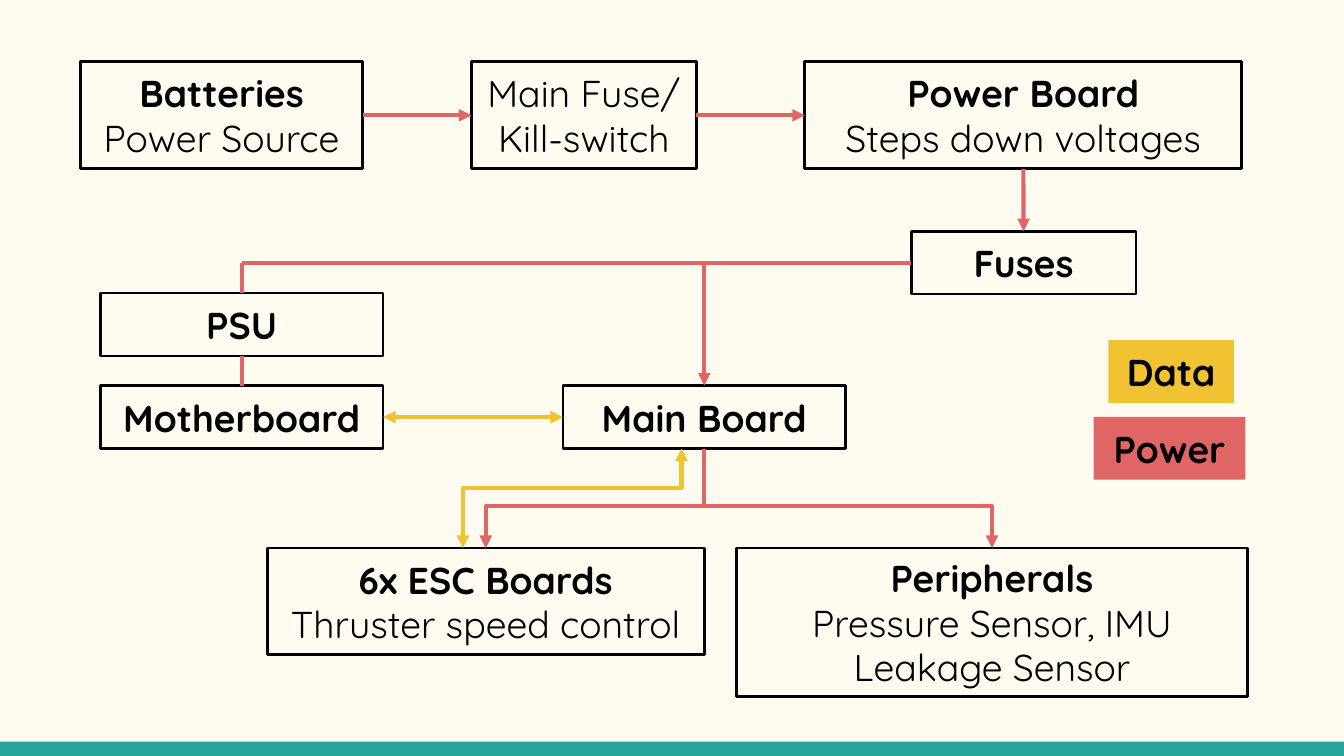
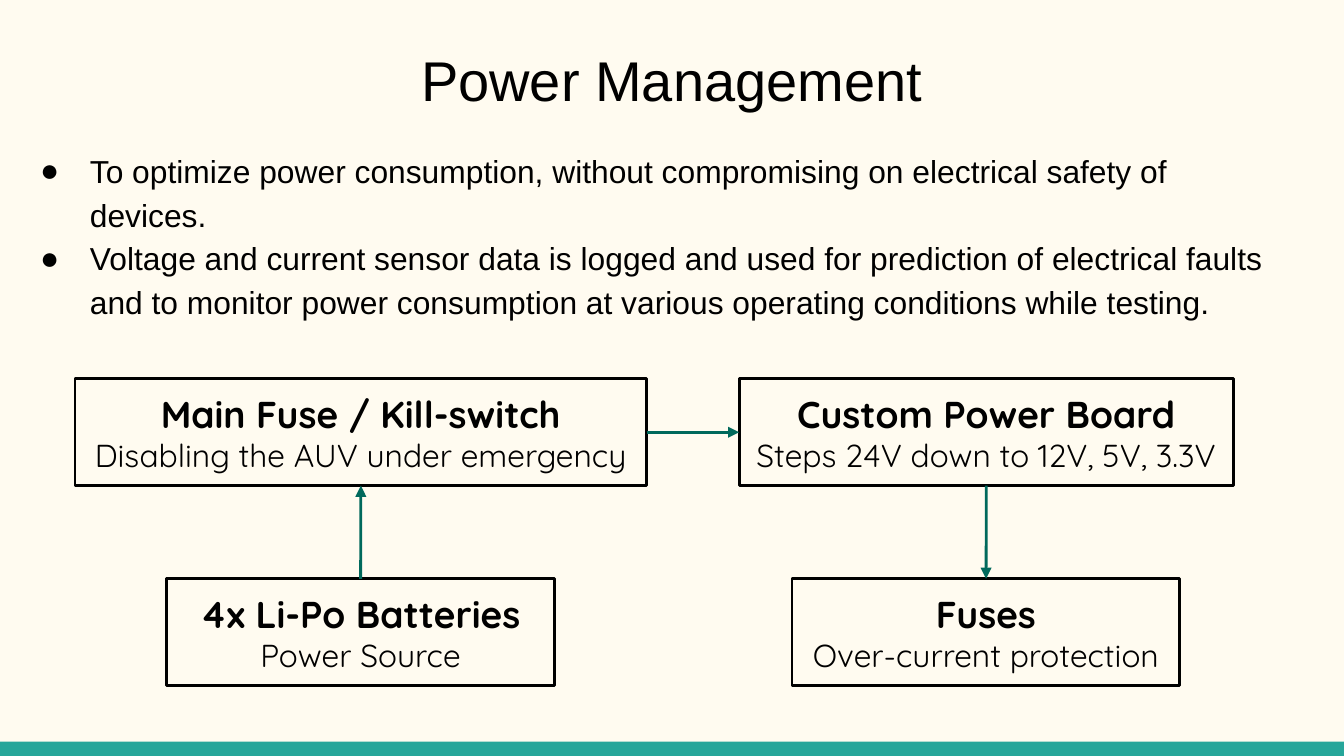
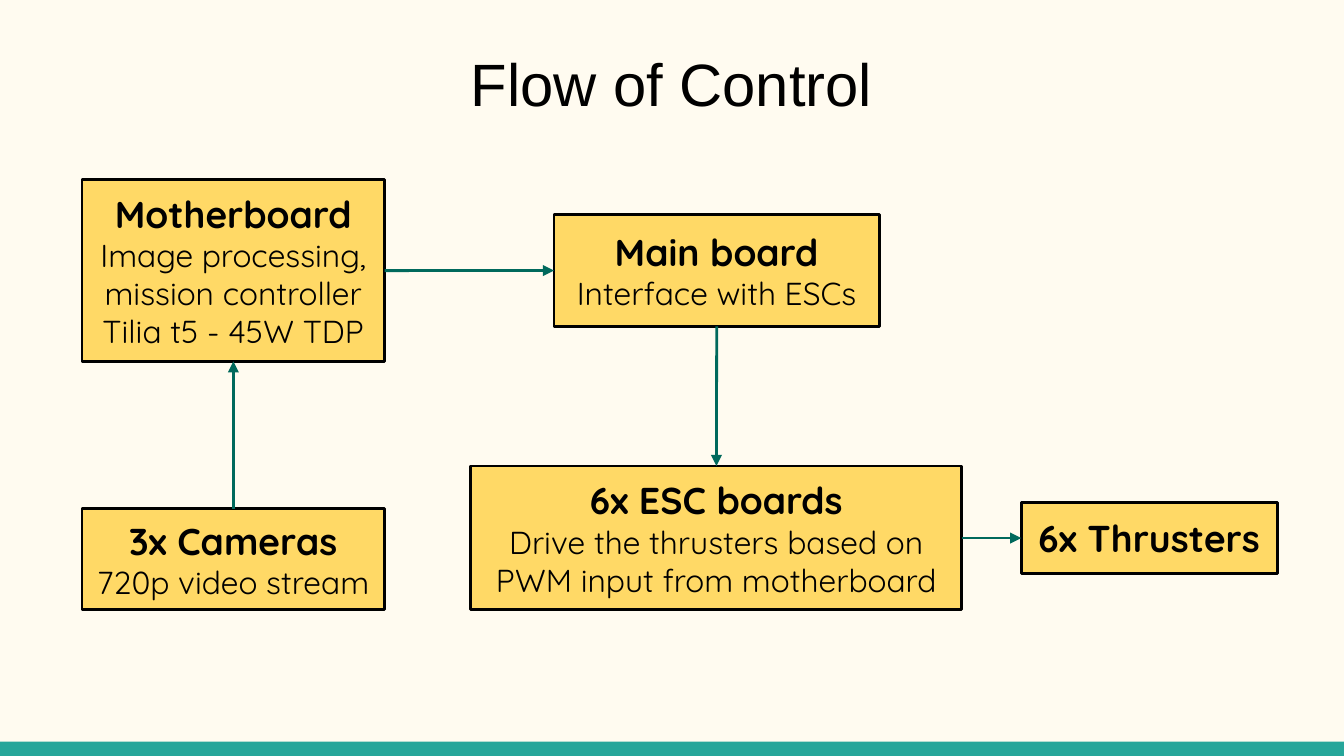
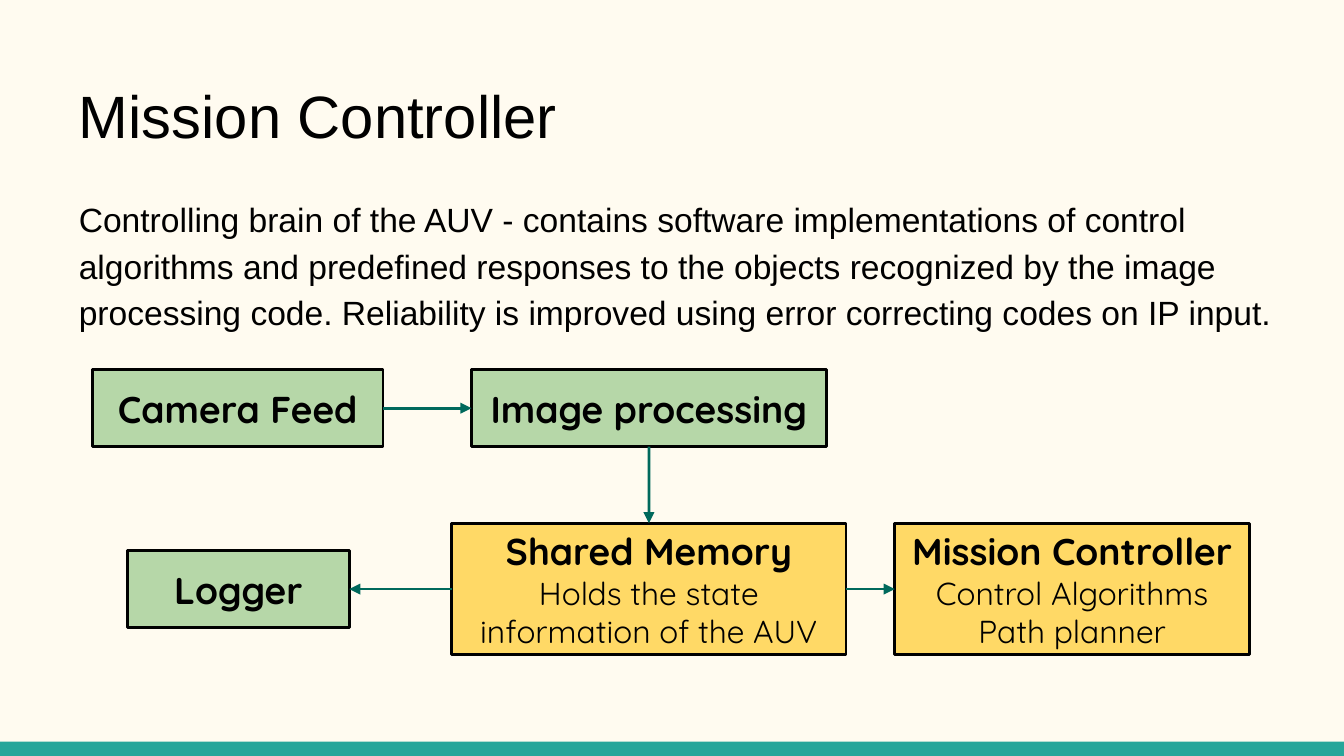
import dataclasses

import pptx
import pptx.dml.color
import pptx.enum.shapes
import pptx.enum.text
import pptx.oxml.ns
import pptx.util
from lxml import etree

Cm = pptx.util.Cm
Pt = pptx.util.Pt
qn = pptx.oxml.ns.qn
ALIGN = pptx.enum.text.PP_ALIGN
SHAPE = pptx.enum.shapes.MSO_SHAPE
CONNECTOR = pptx.enum.shapes.MSO_CONNECTOR
SITES = {"top": 0, "left": 1, "bottom": 2, "right": 3}


@dataclasses.dataclass(frozen=True)
class Theme:
    background: str = "FFFBF0"
    band: str = "26A69A"
    ink: str = "000000"
    power: str = "E06666"
    data: str = "F1C232"
    flow: str = "00695C"
    amber: str = "FFD966"
    green: str = "B6D7A8"
    text_font: str = "Arial"
    node_font: str = "Quicksand"
    title: int = 32
    small_title: int = 30
    body: int = 18
    small_body: int = 17
    node: int = 20
    detail: int = 17
    outline: float = 1.5
    wire: float = 2.25
    inset: float = 0.25


@dataclasses.dataclass(frozen=True)
class Box:
    left: float
    top: float
    width: float
    height: float

    def inner(self, left, top, width, height):
        return Box(self.left + left, self.top + top, width, height)

    def lengths(self):
        return [Cm(value) for value in dataclasses.astuple(self)]


THEME = Theme()
PAGE = Box(0, 0, 25.4, 14.29)


def rgb(code):
    return pptx.dml.color.RGBColor.from_string(code)


def style_font(paragraph, name, size, bold=False):
    font = paragraph.font
    font.name = name
    font.size = Pt(size)
    font.bold = bold
    font.color.rgb = rgb(THEME.ink)


def prepare_frame(frame, anchor):
    frame.word_wrap = True
    frame.vertical_anchor = anchor
    frame.margin_left = frame.margin_right = Cm(THEME.inset)
    frame.margin_top = frame.margin_bottom = Cm(THEME.inset)


def add_panel(slide, box, fill=None, outline=None):
    panel = slide.shapes.add_shape(SHAPE.RECTANGLE, *box.lengths())
    panel.shadow.inherit = False
    if fill:
        panel.fill.solid()
        panel.fill.fore_color.rgb = rgb(fill)
    else:
        panel.fill.background()
    if outline:
        panel.line.color.rgb = rgb(outline)
        panel.line.width = Pt(THEME.outline)
    else:
        panel.line.fill.background()
    return panel


def add_node(slide, box, name, *details, fill=None, outline=THEME.ink,
             detail_size=THEME.detail, bold=True):
    node = add_panel(slide, box, fill, outline)
    frame = node.text_frame
    prepare_frame(frame, pptx.enum.text.MSO_ANCHOR.MIDDLE)
    for index, line in enumerate((name, *details)):
        paragraph = frame.add_paragraph() if index else frame.paragraphs[0]
        paragraph.text = line
        paragraph.alignment = ALIGN.CENTER
        style_font(paragraph, THEME.node_font,
                   detail_size if index else THEME.node, bold and not index)
    return node


def style_wire(wire, color, width, head, tail):
    wire.line.color.rgb = rgb(color)
    wire.line.width = Pt(width)
    properties = wire._element.spPr
    outline = properties.find(qn("a:ln"))
    for tag, present in (("a:headEnd", head), ("a:tailEnd", tail)):
        if present:
            etree.SubElement(outline, qn(tag), type="triangle")
    etree.SubElement(properties, qn("a:effectLst"))


def add_wire(slide, start, end, color, width=THEME.wire, head=False, tail=True):
    wire = slide.shapes.add_connector(CONNECTOR.STRAIGHT, *start, *end)
    style_wire(wire, color, width, head, tail)
    return wire


def site(node, side, shift=0):
    x, y = {
        "top": (node.width // 2, 0),
        "left": (0, node.height // 2),
        "bottom": (node.width // 2, node.height),
        "right": (node.width, node.height // 2),
    }[side]
    return node.left + x + Cm(shift), node.top + y


def link(slide, source, source_side, target, target_side, color=THEME.flow,
         width=THEME.outline, head=False, tail=True):
    wire = add_wire(slide, site(source, source_side), site(target, target_side),
                    color, width, head, tail)
    wire.begin_connect(source, SITES[source_side])
    wire.end_connect(target, SITES[target_side])


def add_branch(slide, start, end, color, bend, head=False):
    (start_x, start_y), (end_x, end_y) = start, end
    middle_x, middle_y = (start_x + end_x) // 2, (start_y + end_y) // 2
    half_run, half_drop = abs(end_x - start_x) // 2, (end_y - start_y) // 2
    rightward = end_x > start_x
    reach = half_drop if rightward else -half_drop
    branch = slide.shapes.add_connector(
        CONNECTOR.ELBOW, middle_x + reach, middle_y - half_run,
        middle_x - reach, middle_y + half_run)
    properties = branch._element.spPr
    properties.find(qn("a:xfrm")).set("rot", "16200000" if rightward else "5400000")
    guides = properties.find(qn("a:prstGeom")).get_or_add_avLst()
    etree.SubElement(guides, qn("a:gd"), name="adj1", fmla=f"val {round(bend * 100000)}")
    style_wire(branch, color, THEME.wire, head, True)


def add_text(slide, box, lines, size, alignment=ALIGN.LEFT, spacing=1.0,
             space_after=0, bulleted=False):
    frame = slide.shapes.add_textbox(*box.lengths()).text_frame
    prepare_frame(frame, pptx.enum.text.MSO_ANCHOR.TOP)
    for index, line in enumerate(lines):
        paragraph = frame.add_paragraph() if index else frame.paragraphs[0]
        paragraph.text = line
        paragraph.alignment = alignment
        paragraph.line_spacing = spacing
        paragraph.space_after = Pt(space_after)
        style_font(paragraph, THEME.text_font, size)
        if bulleted:
            add_bullet(paragraph, size)


def add_bullet(paragraph, size):
    properties = paragraph._p.get_or_add_pPr()
    properties.set("marL", str(Cm(1.27)))
    properties.set("indent", str(Cm(-0.94)))
    defaults = properties.find(qn("a:defRPr"))
    for tag, attributes in (
        ("a:buSzPts", {"val": str(size * 100)}),
        ("a:buFont", {"typeface": THEME.text_font}),
        ("a:buChar", {"char": "●"}),
    ):
        defaults.addprevious(etree.Element(qn(tag), attributes))


def add_title(slide, box, title, size=THEME.title, alignment=ALIGN.CENTER):
    add_text(slide, box, [title], size, alignment)


def new_slide(deck):
    slide = deck.slides.add_slide(deck.slide_layouts[6])
    slide.background.fill.solid()
    slide.background.fill.fore_color.rgb = rgb(THEME.background)
    add_panel(slide, PAGE.inner(0, 14.02, PAGE.width, 0.27), THEME.band)
    return slide


def draw_wiring(slide, area):
    def node(left, top, width, height, *lines, **options):
        return add_node(slide, area.inner(left, top, width, height), *lines,
                        detail_size=THEME.node, **options)

    single, double = 1.19, 2.02
    batteries = node(0, 0, 5.34, double, "Batteries", "Power Source")
    main_fuse = node(7.39, 0, 4.25, double, "Main Fuse/", "Kill-switch", bold=False)
    power_board = node(13.69, 0, 8.26, double, "Power Board", "Steps down voltages")
    fuses = node(15.7, 3.2, 4.25, single, "Fuses")
    psu = node(0.38, 4.37, 5.34, single, "PSU")
    motherboard = node(0.38, 6.12, 5.34, single, "Motherboard")
    main_board = node(9.12, 6.12, 5.34, single, "Main Board")
    esc_boards = node(3.53, 9.19, 8.26, double, "6x ESC Boards", "Thruster speed control")
    peripherals = node(12.4, 9.19, 9.66, 2.8, "Peripherals",
                       "Pressure Sensor, IMU", "Leakage Sensor")

    power = {"color": THEME.power, "width": THEME.wire}
    link(slide, batteries, "right", main_fuse, "left", **power)
    link(slide, main_fuse, "right", power_board, "left", **power)
    link(slide, power_board, "bottom", fuses, "top", **power)
    link(slide, psu, "bottom", motherboard, "top", tail=False, **power)

    bus_start = site(fuses, "left")
    psu_top = site(psu, "top")
    main_board_top = site(main_board, "top")
    bus_end = psu_top[0], bus_start[1]
    add_wire(slide, bus_start, bus_end, THEME.power, tail=False)
    add_wire(slide, bus_end, psu_top, THEME.power, tail=False)
    add_wire(slide, (main_board_top[0], bus_start[1]), main_board_top, THEME.power)

    for load in (esc_boards, peripherals):
        add_branch(slide, site(main_board, "bottom"), site(load, "top"),
                   THEME.power, 0.58)
    link(slide, motherboard, "right", main_board, "left",
         THEME.data, THEME.wire, head=True)
    add_branch(slide, site(main_board, "bottom", -0.43), site(esc_boards, "top", -0.43),
               THEME.data, 0.4, head=True)

    node(19.43, 5.26, 2.37, single, "Data", fill=THEME.data, outline=None)
    node(19.15, 6.71, 2.87, single, "Power", fill=THEME.power, outline=None)


def draw_power_chain(slide, area):
    def node(left, top, width, *lines):
        return add_node(slide, area.inner(left, top, width, 2.02), *lines)

    kill_switch = node(0, 0, 10.8, "Main Fuse / Kill-switch",
                       "Disabling the AUV under emergency")
    power_board = node(12.55, 0, 9.34, "Custom Power Board",
                       "Steps 24V down to 12V, 5V, 3.3V")
    batteries = node(1.73, 3.78, 7.33, "4x Li-Po Batteries", "Power Source")
    fuses = node(13.55, 3.78, 7.33, "Fuses", "Over-current protection")
    link(slide, batteries, "top", kill_switch, "bottom")
    link(slide, kill_switch, "right", power_board, "left")
    link(slide, power_board, "bottom", fuses, "top")


def draw_control_flow(slide, area):
    def node(left, top, width, height, *lines):
        return add_node(slide, area.inner(left, top, width, height), *lines,
                        fill=THEME.amber)

    cameras = node(0, 6.22, 5.72, 1.91, "3x Cameras", "720p video stream")
    motherboard = node(0, 0, 5.72, 3.43, "Motherboard",
                       "Image processing, mission controller", "Tilia t5 - 45W TDP")
    main_board = node(8.92, 0.66, 6.15, 2.11, "Main board", "Interface with ESCs")
    esc_boards = node(7.35, 5.41, 9.28, 2.72, "6x ESC boards",
                      "Drive the thrusters based on PWM input from motherboard")
    thrusters = node(17.75, 6.1, 4.84, 1.34, "6x Thrusters")
    link(slide, cameras, "top", motherboard, "bottom")
    link(slide, motherboard, "right", main_board, "left")
    link(slide, main_board, "bottom", esc_boards, "top")
    link(slide, esc_boards, "right", thrusters, "left")


def draw_mission_flow(slide, area):
    def node(left, top, width, height, fill, *lines):
        return add_node(slide, area.inner(left, top, width, height), *lines, fill=fill)

    camera_feed = node(0, 0, 5.49, 1.45, THEME.green, "Camera Feed")
    image_processing = node(7.16, 0, 6.71, 1.45, THEME.green, "Image processing")
    shared_memory = node(6.79, 2.9, 7.45, 2.49, THEME.amber, "Shared Memory",
                         "Holds the state information of the AUV")
    controller = node(15.16, 2.9, 6.71, 2.49, THEME.amber, "Mission Controller",
                      "Control Algorithms", "Path planner")
    logger = node(0.66, 3.42, 4.19, 1.45, THEME.green, "Logger")
    link(slide, camera_feed, "right", image_processing, "left")
    link(slide, image_processing, "bottom", shared_memory, "top")
    link(slide, shared_memory, "left", logger, "right")
    link(slide, shared_memory, "right", controller, "left")


def build_wiring(slide, page):
    draw_wiring(slide, page.inner(1.52, 1.17, 22.06, 11.99))


def build_power_management(slide, page):
    add_title(slide, page.inner(0.86, 0.61, 23.67, 1.7), "Power Management",
              THEME.small_title)
    add_text(slide, page.inner(0.18, 2.51, 24.01, 3.78), [
        "To optimize power consumption, without compromising on electrical safety of "
        "devices.",
        "Voltage and current sensor data is logged and used for prediction of electrical "
        "faults and to monitor power consumption at various operating conditions while "
        "testing.",
    ], THEME.small_body, spacing=1.15, bulleted=True)
    draw_power_chain(slide, page.inner(1.42, 7.16, 21.89, 5.8))


def build_flow_of_control(slide, page):
    add_title(slide, page.inner(0.86, 0.64, 23.67, 1.7), "Flow of Control")
    draw_control_flow(slide, page.inner(1.55, 3.4, 22.59, 8.13))


def build_mission_controller(slide, page):
    add_title(slide, page.inner(1.24, 1.24, 23.67, 1.7), "Mission Controller",
              alignment=ALIGN.LEFT)
    add_text(slide, page.inner(1.24, 3.4, 23.67, 9.45), [
        "Controlling brain of the AUV - contains software implementations of control "
        "algorithms and predefined responses to the objects recognized by the image "
        "processing code. Reliability is improved using error correcting codes on IP "
        "input.",
    ], THEME.body, spacing=1.15, space_after=16)
    draw_mission_flow(slide, page.inner(1.75, 6.99, 21.87, 5.39))


def main():
    deck = pptx.Presentation()
    deck.slide_width, deck.slide_height = Cm(PAGE.width), Cm(PAGE.height)
    for build in (build_wiring, build_power_management,
                  build_flow_of_control, build_mission_controller):
        build(new_slide(deck), PAGE)
    deck.save("out.pptx")


if __name__ == "__main__":
    main()
